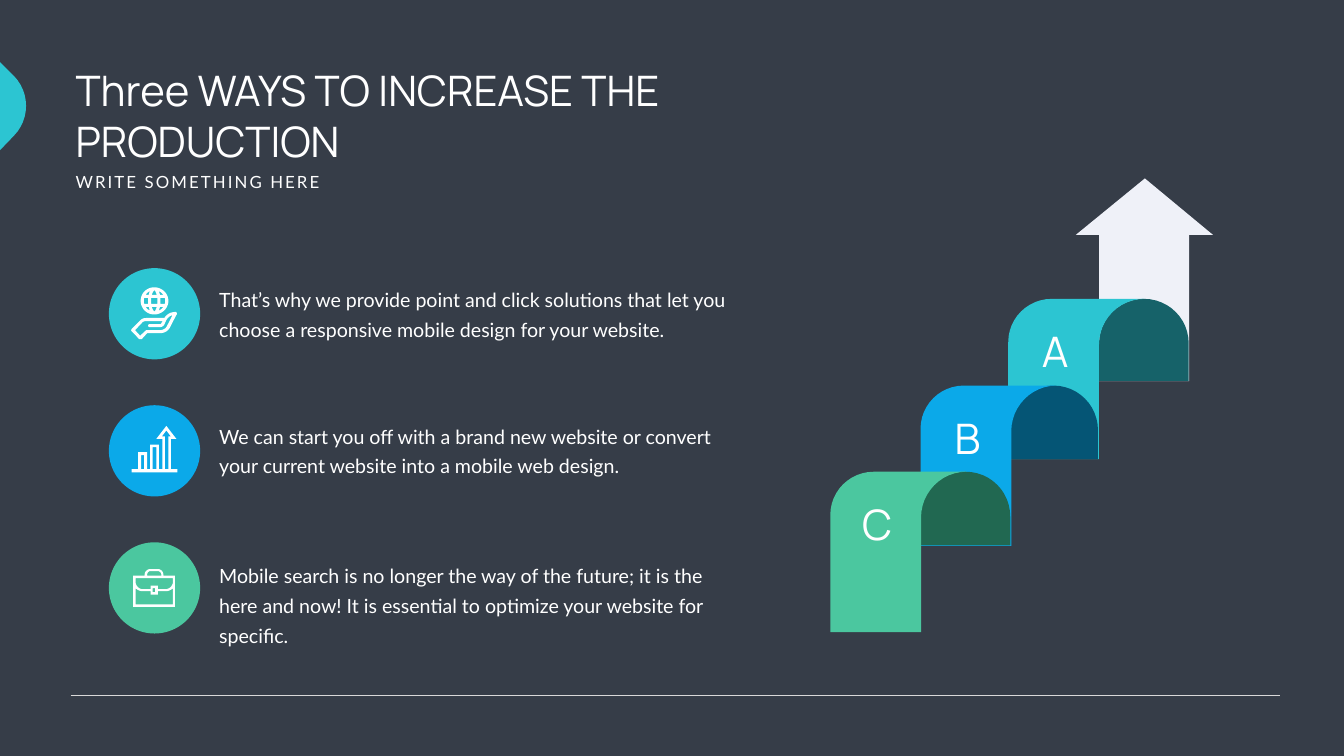
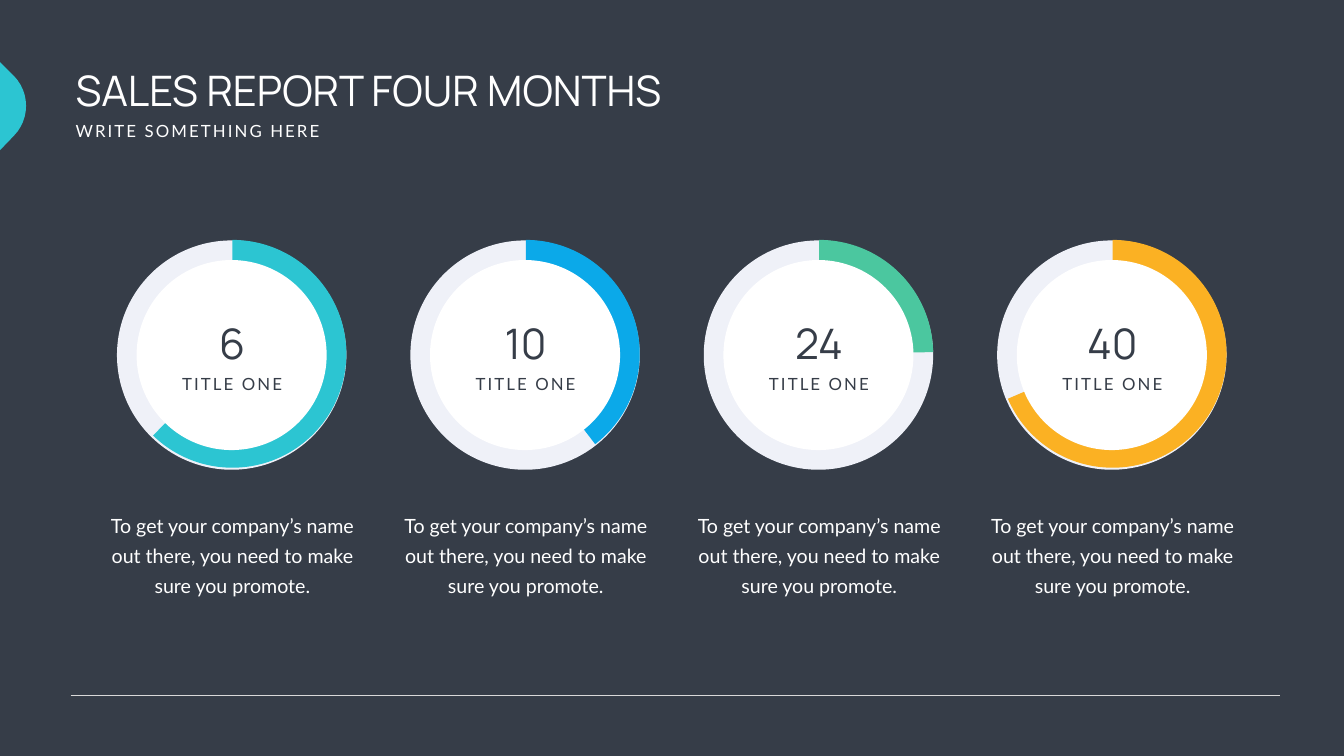
from dataclasses import dataclass

from lxml.etree import SubElement
from pptx import Presentation
from pptx.dml.color import RGBColor
from pptx.enum.shapes import MSO_CONNECTOR, MSO_SHAPE
from pptx.enum.text import MSO_AUTO_SIZE, PP_ALIGN
from pptx.oxml.ns import qn
from pptx.util import Inches, Pt


@dataclass(frozen=True)
class Theme:
    back: str = "363D48"
    white: str = "FFFFFF"
    pale: str = "EFF1F8"
    rule: str = "D9D9D9"
    teal: str = "2CC5D2"
    blue: str = "0BA9E9"
    green: str = "4BC79F"
    amber: str = "FBB123"
    deep_teal: str = "166269"
    deep_blue: str = "055575"
    deep_green: str = "216851"
    head: str = "Manrope"
    body: str = "Lato"
    big: int = 60
    mid: int = 28
    small: int = 24
    lead: float = 43


THEME = Theme()

TAB = "M 0 2.98 L 0 1.23 L .27 1.5 C .6 1.83 .6 2.37 .27 2.7 Z"
ARROW = ("M 21.34 4.66 L 21.8 4.66 L 21.8 7.56 L 23.59 7.56 L 23.59 4.66 "
         "L 24.06 4.66 L 22.71 3.54 Z")
BAND = ("M .86 0 L 2.7 0 C 2.2 0 1.8 .41 1.8 .91 L 1.8 3.18 L 0 3.18 "
        "L 0 .86 C 0 .38 .39 0 .86 0 Z")

FLAP = """
M 3.28 11.69 L 3.13 11.69 L 3.13 11.62 L 2.99 11.62 L 2.99 11.69 L 2.83 11.69
C 2.76 11.69 2.69 11.62 2.69 11.55 L 2.69 11.47 L 3.43 11.47 L 3.43 11.55
C 3.43 11.62 3.36 11.69 3.28 11.69 Z
M 3.03 11.67 L 3.08 11.67 L 3.08 11.75 L 3.03 11.75 Z
M 3.43 11.99 L 2.69 11.99 L 2.69 11.67 C 2.73 11.71 2.78 11.73 2.83 11.73
L 2.99 11.73 L 2.99 11.8 L 3.13 11.8 L 3.13 11.73 L 3.28 11.73
C 3.34 11.73 3.39 11.71 3.43 11.67 Z"""
FRAME = """
M 2.92 11.4 C 2.92 11.36 2.95 11.33 2.99 11.33 L 3.13 11.33
C 3.16 11.33 3.2 11.36 3.2 11.4 L 3.2 11.42 L 2.92 11.42 Z
M 3.24 11.42 L 3.24 11.4 C 3.24 11.34 3.19 11.29 3.13 11.29 L 2.99 11.29
C 2.92 11.29 2.87 11.34 2.87 11.4 L 2.87 11.42 L 2.64 11.42 L 2.64 12.04
L 3.47 12.04 L 3.47 11.42 Z"""
CASE = FLAP + FRAME

BARS = """
M 2.8 9.03 L 2.86 9.03 L 2.86 9.31 L 2.8 9.31 Z
M 3.03 8.87 L 3.1 8.87 L 3.1 9.31 L 3.03 9.31 Z
M 3.21 8.66 L 3.3 8.54 L 3.39 8.66 L 3.34 8.66 L 3.34 9.31 L 3.27 9.31 L 3.27 8.66 Z
M 3.39 9.31 L 3.39 8.71 L 3.5 8.71 L 3.3 8.45 L 3.1 8.71 L 3.22 8.71 L 3.22 9.31
L 3.15 9.31 L 3.15 8.82 L 2.98 8.82 L 2.98 9.31 L 2.92 9.31 L 2.92 8.97
L 2.74 8.97 L 2.74 9.31 L 2.61 9.31 L 2.61 9.37 L 3.52 9.37 L 3.52 9.31 Z"""

PALM = """
M 3.31 6.47 C 3.29 6.52 3.23 6.55 3.18 6.55 L 2.91 6.55 C 2.9 6.55 2.89 6.55 2.89 6.56
L 2.78 6.66 C 2.76 6.64 2.72 6.6 2.68 6.55 L 2.83 6.39 C 2.85 6.38 2.87 6.37 2.9 6.37
L 3.23 6.37 L 3.2 6.41 C 3.2 6.42 3.19 6.43 3.18 6.43 L 2.97 6.43
C 2.95 6.43 2.94 6.44 2.94 6.46 C 2.94 6.48 2.95 6.49 2.97 6.49 L 3.18 6.49
C 3.21 6.49 3.24 6.47 3.26 6.44 L 3.3 6.35 C 3.33 6.3 3.37 6.27 3.42 6.25
C 3.38 6.35 3.31 6.47 3.31 6.47 Z"""
EDGE = """
M 3.5 6.2 C 3.5 6.19 3.49 6.19 3.48 6.19 C 3.39 6.19 3.31 6.23 3.26 6.31 L 2.9 6.31
C 2.86 6.31 2.82 6.32 2.79 6.35 L 2.61 6.53 C 2.61 6.54 2.6 6.55 2.6 6.55
C 2.6 6.56 2.61 6.57 2.61 6.57 C 2.69 6.65 2.76 6.73 2.76 6.73 L 2.81 6.73
L 2.92 6.61 L 3.18 6.61 C 3.26 6.61 3.33 6.57 3.37 6.5 C 3.37 6.5 3.46 6.32 3.51 6.23
C 3.51 6.22 3.51 6.21 3.5 6.2 Z"""
HAND = PALM + EDGE

POLES = """
M 2.97 5.78 C 2.96 5.81 2.96 5.82 2.95 5.85 L 2.89 5.85 C 2.91 5.82 2.94 5.79 2.97 5.78 Z
M 3.24 5.85 L 3.17 5.85 C 3.17 5.82 3.16 5.81 3.15 5.78 C 3.19 5.79 3.21 5.82 3.24 5.85 Z
M 3.15 6.16 C 3.16 6.13 3.17 6.11 3.17 6.09 L 3.24 6.09 C 3.21 6.12 3.19 6.15 3.15 6.16 Z
M 2.89 6.09 L 2.95 6.09 C 2.96 6.11 2.96 6.13 2.97 6.16 C 2.94 6.15 2.91 6.12 2.89 6.09 Z
M 3.06 6.18 C 3.06 6.18 3.04 6.17 3.01 6.09 L 3.11 6.09 C 3.08 6.17 3.07 6.18 3.06 6.18 Z
M 3.06 5.76 C 3.07 5.76 3.08 5.77 3.11 5.85 L 3.01 5.85 C 3.04 5.77 3.06 5.76 3.06 5.76 Z"""
BELT = """
M 2.94 6.03 L 2.86 6.03 C 2.85 5.99 2.85 5.95 2.86 5.91 L 2.94 5.91 Z
M 3.27 5.91 C 3.28 5.95 3.28 5.99 3.27 6.03 L 3.18 6.03 L 3.18 5.91 Z
M 3.12 5.91 L 3.12 6.03 L 3 6.03 L 3 5.91 Z"""
RIM = """
M 2.79 5.97 C 2.79 6.12 2.91 6.24 3.06 6.24 C 3.21 6.24 3.34 6.12 3.34 5.97
C 3.34 5.81 3.2 5.7 3.06 5.7 C 2.91 5.7 2.79 5.82 2.79 5.97 Z"""
GLOBE = POLES + BELT + RIM


def trace(code, steps=12):
    """Turn M, L, C and Z commands into closed rings of points, curves sampled."""
    rings, words = [], iter(code.split())

    def point():
        return float(next(words)), float(next(words))

    for word in words:
        if word == "M":
            rings.append([point()])
        elif word == "L":
            rings[-1].append(point())
        elif word == "C":
            knots = rings[-1][-1], point(), point(), point()
            for i in range(1, steps + 1):
                t = i / steps
                mix = (1 - t) ** 3, 3 * t * (1 - t) ** 2, 3 * t * t * (1 - t), t ** 3
                rings[-1].append(tuple(
                    sum(m * k[axis] for m, k in zip(mix, knots)) for axis in (0, 1)))
    return rings


class Deck:
    def __init__(self, theme):
        self.theme = theme
        self.show = Presentation()
        self.show.slide_width, self.show.slide_height = Inches(26.66), Inches(15)
        self.slide = None

    def start(self, title, width, lines=1):
        """Add a slide with its background, tab, title, subtitle and bottom rule."""
        theme = self.theme
        self.slide = self.show.slides.add_slide(self.show.slide_layouts[6])
        fill = self.slide.background.fill
        fill.solid()
        fill.fore_color.rgb = RGBColor.from_string(theme.back)
        self.rule(1.4, 25.4, 13.79)
        high = 0.1 + 1.01 * lines
        self.text(title, 1.4, 1.24, width, high, theme.big, theme.head)
        self.label("WRITE SOMETHING HERE", 1.4, 1.24 + high, 5.14)
        self.draw(TAB, theme.teal)

    def rule(self, left, right, top):
        line = self.slide.shapes.add_connector(
            MSO_CONNECTOR.STRAIGHT, Inches(left), Inches(top), Inches(right), Inches(top))
        line.line.color.rgb = RGBColor.from_string(self.theme.rule)
        line.line.width = Pt(0.5)
        SubElement(line._element.spPr, qn("a:effectLst"))

    def text(self, words, left, top, width, height, size, face,
             color=None, center=False, lead=None, wrap=True):
        box = self.slide.shapes.add_textbox(
            Inches(left), Inches(top), Inches(width), Inches(height))
        frame = box.text_frame
        frame.word_wrap = wrap
        frame.auto_size = MSO_AUTO_SIZE.SHAPE_TO_FIT_TEXT
        para = frame.paragraphs[0]
        para.text = words
        if center:
            para.alignment = PP_ALIGN.CENTER
        if lead:
            para.line_spacing = Pt(lead)
        font = para.font
        font.size, font.name = Pt(size), face
        font.color.rgb = RGBColor.from_string(color or self.theme.white)
        return para

    def label(self, words, left, top, width, color=None, center=False):
        """Add one line of letter-spaced small text."""
        para = self.text(words, left, top, width, 0.5, self.theme.small,
                         self.theme.body, color, center, wrap=False)
        para.runs[0]._r.get_or_add_rPr().set("spc", "300")

    def note(self, words, left, top, width, height, center=False, lead=None):
        self.text(words, left, top, width, height, self.theme.mid, self.theme.body,
                  center=center, lead=lead or self.theme.lead)

    def paint(self, shape, color):
        shape.shadow.inherit = False
        shape.fill.solid()
        shape.fill.fore_color.rgb = RGBColor.from_string(color)
        shape.line.fill.background()

    def round(self, left, top, size, color, kind=MSO_SHAPE.OVAL):
        shape = self.slide.shapes.add_shape(
            kind, Inches(left), Inches(top), Inches(size), Inches(size))
        self.paint(shape, color)
        return shape

    def draw(self, code, color, left=0, top=0):
        """Fill the outline given by a command string, moved by left and top."""
        rings = [[(Inches(x + left), Inches(y + top)) for x, y in ring]
                 for ring in trace(code)]
        pen = self.slide.shapes.build_freeform(*rings[0][0])
        for i, ring in enumerate(rings):
            if i:
                pen.move_to(*ring[0])
            pen.add_line_segments(ring[1:], close=True)
        self.paint(pen.convert_to_shape(), color)

    def step(self, mark, left, top, fold, drop, color, dark):
        """Draw one lettered ribbon over the dark fold behind it."""
        self.draw(f"M 0 {drop} L 0 .89 C 0 .4 .4 0 .89 0 C 1.39 0 1.78 .4 1.78 .89 "
                  f"L 1.78 {drop} Z", dark, fold, top)
        self.draw(BAND, color, left, top)
        self.text(mark, left + 0.53, top + 0.48, 0.8, 1.11, self.theme.big,
                  self.theme.head, center=True, wrap=False)

    def dial(self, left, value, angle, color):
        """Draw a ring filled clockwise from the top to the angle, with its texts."""
        theme = self.theme
        self.round(left, 4.77, 4.55, theme.pale)
        pie = self.round(left + 0.03, 4.76, 4.52, color, MSO_SHAPE.PIE)
        pie.adjustments[0], pie.adjustments[1] = 270 * 0.6, angle * 0.6
        self.round(left + 0.39, 5.16, 3.77, theme.white)
        self.text(value, left + 1.04, 6.26, 2.49, 1.11, theme.big, theme.head,
                  theme.back, center=True)
        self.label("TITLE ONE", left + 1.16, 7.37, 2.25, theme.back, center=True)
        self.note("To get your company’s name out there, you need to make sure you promote.",
                  left - 0.31, 10.01, 5.2, 1.85, center=True)


def ways(deck):
    theme = deck.theme
    deck.start("Three WAYS TO INCREASE THE PRODUCTION", 11.93, lines=2)

    deck.draw(ARROW, theme.pale)
    fold = 21.8
    steps = [("A", 20, 5.93, 1.63, theme.teal, theme.deep_teal),
             ("B", 18.26, 7.65, 1.46, theme.blue, theme.deep_blue),
             ("C", 16.47, 9.36, 1.46, theme.green, theme.deep_green)]
    for mark, left, top, drop, color, dark in steps:
        deck.step(mark, left, top, fold, drop, color, dark)
        fold = left

    rows = [
        ("That’s why we provide point and click solutions that let you choose "
         "a responsive mobile design for your website.",
         5.54, theme.lead, theme.teal, (HAND, GLOBE)),
        ("We can start you off with a brand new website or convert your current "
         "website into a mobile web design.",
         8.29, 40.8, theme.blue, (BARS,)),
        ("Mobile search is no longer the way of the future; it is the here and now! "
         "It is essential to optimize your website for specific.",
         11.01, theme.lead, theme.green, (CASE,)),
    ]
    for i, (words, top, lead, color, icons) in enumerate(rows):
        deck.round(2.16, 5.32 + 2.72 * i, 1.81, color)
        deck.note(words, 4.25, top, 10.61, 1.25, lead=lead)
        for icon in icons:
            deck.draw(icon, theme.white)


def sales(deck):
    theme = deck.theme
    deck.start("SALES REPORT FOUR MONTHS", 15.6)
    dials = [("6", 134.12, theme.teal), ("10", 52.48, theme.blue),
             ("24", 359.16, theme.green), ("40", 156.76, theme.amber)]
    for i, (value, angle, color) in enumerate(dials):
        deck.dial(2.32 + 5.82 * i, value, angle, color)


def main():
    deck = Deck(THEME)
    ways(deck)
    sales(deck)
    deck.show.save("out.pptx")


if __name__ == "__main__":
    main()
